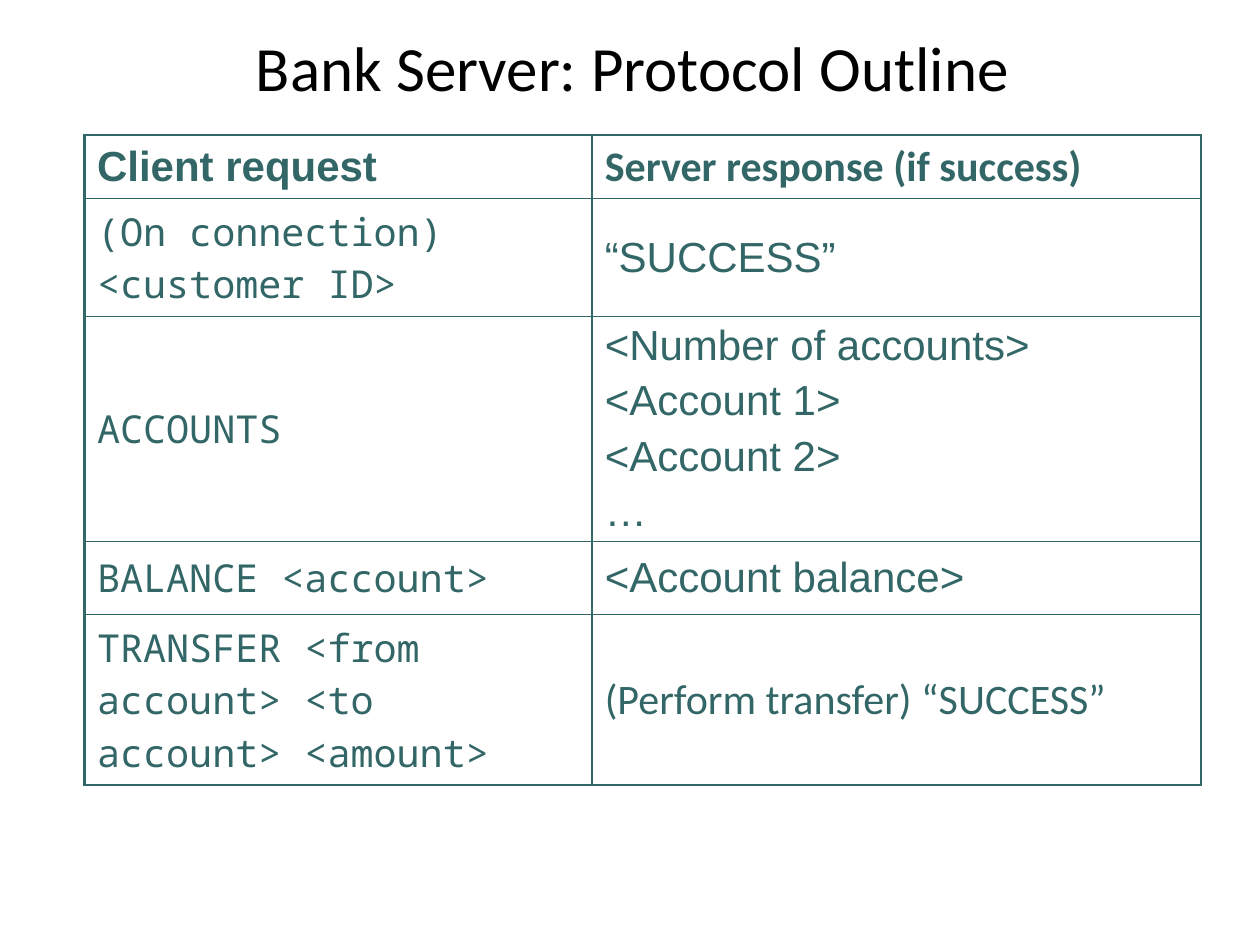
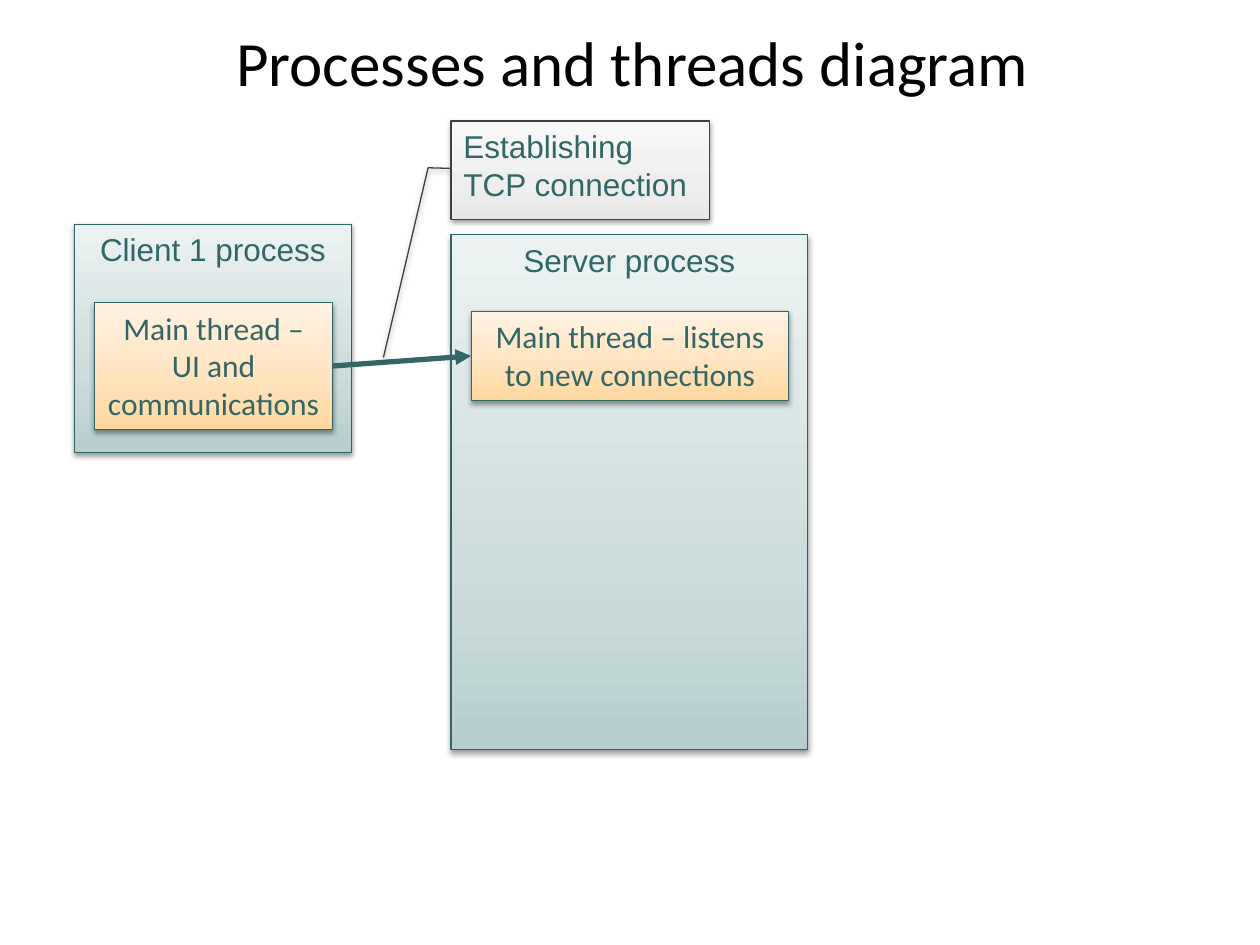
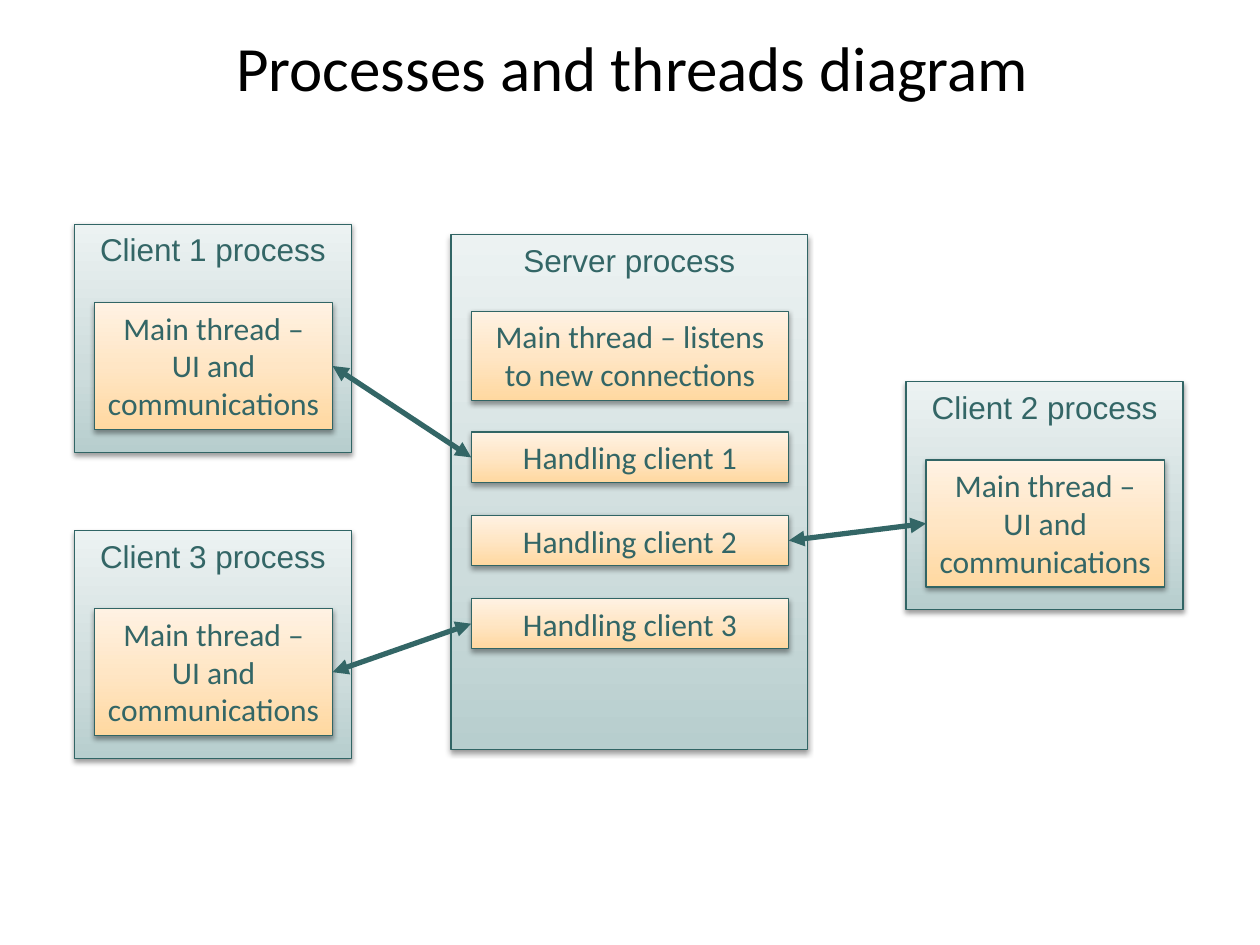
from pptx import Presentation
from pptx.dml.color import RGBColor
from pptx.enum.shapes import MSO_CONNECTOR, MSO_SHAPE
from pptx.enum.text import MSO_ANCHOR, MSO_AUTO_SIZE, PP_ALIGN
from pptx.oxml.ns import qn
from pptx.util import Inches, Pt
from lxml.etree import SubElement

BLACK = RGBColor(0x00, 0x00, 0x00)
TEAL = RGBColor(0x33, 0x66, 0x66)
EDGE = RGBColor(0x31, 0x65, 0x65)
GREY = RGBColor(0x40, 0x40, 0x40)

# Gradient stops from bottom to top: position in percent, colour
COOL = [(0, "B7CECE"), (35, "CDDCDC"), (100, "ECF2F2")]
WARM = [(0, "FFD8A0"), (50, "FFE6C5"), (100, "FFF2E3")]
PALE = [(0, "E7E7E7"), (35, "EEEEEE"), (100, "F8F8F8")]

SANS, BODY, MONO = "Arial", "Calibri", "Noto Sans Mono"
LEFT, RIGHT = 1, 3  # connection sites of a rectangle


def add(home, tag, **vals):
    """Add an XML child with the given attributes."""
    return SubElement(home, qn(tag), {k: str(v) for k, v in vals.items()})


class Deck:
    def __init__(self):
        self.prs = Presentation()
        self.prs.slide_width, self.prs.slide_height = Inches(10), Inches(7.5)

    def page(self, title, top=0.01):
        self.slide = self.prs.slides.add_slide(self.prs.slide_layouts[5])
        self.shapes = self.slide.shapes
        head = self.shapes.title
        self.place(head, 0.51, top, 9.02, 1.04)
        head.text_frame.vertical_anchor = MSO_ANCHOR.MIDDLE
        self.label(head.text_frame, title, BODY, 36, BLACK, PP_ALIGN.CENTER)

    def place(self, item, *box):
        for name, val in zip(("left", "top", "width", "height"), box):
            setattr(item, name, Inches(val))

    def label(self, frame, text, face, size, color=TEAL, align=PP_ALIGN.LEFT,
              bold=False):
        look = {"name": face, "size": Pt(size), "bold": bold}
        frame.text = text
        for para in frame.paragraphs:
            para.alignment = align
            for run in para.runs:
                for name, val in look.items():
                    setattr(run.font, name, val)
                run.font.color.rgb = color

    def box(self, text, spot, tint, face=SANS, kind=MSO_SHAPE.RECTANGLE,
            edge=EDGE, align=PP_ALIGN.CENTER, wrap=False, home=None):
        shape = (home or self.shapes).add_shape(kind, *map(Inches, spot))
        shape.line.color.rgb, shape.line.width = edge, Pt(0.75)
        # Gradient with three stops
        shape.fill.gradient()
        shape.fill.gradient_angle = 90
        props = shape._element.spPr
        stops = props.find(qn("a:gradFill")).find(qn("a:gsLst"))
        stops.clear()
        for pos, tone in tint:
            stop = add(stops, "a:gs", pos=pos * 1000)
            add(stop, "a:srgbClr", val=tone)
        # Soft shadow below
        shape.shadow.inherit = False
        glow = add(props.find(qn("a:effectLst")), "a:outerShdw", blurRad=Pt(3.1),
                   dist=Pt(1.6), dir=5400000, rotWithShape=0)
        shade = add(glow, "a:srgbClr", val="000000")
        add(shade, "a:alpha", val=38000)
        frame = shape.text_frame
        self.label(frame, text, face, 18, align=align)
        frame.vertical_anchor = MSO_ANCHOR.TOP
        frame.word_wrap = wrap
        if wrap:
            frame.auto_size = MSO_AUTO_SIZE.SHAPE_TO_FIT_TEXT
        return shape

    def thread(self, text, spot, home=None):
        return self.box(text, spot, WARM, BODY, wrap=True, home=home)

    def client(self, num, left, top):
        home = self.shapes.add_group_shape().shapes
        self.box(f"Client {num} process", (left, top, 2.2, 1.81), COOL, home=home)
        return self.thread("Main thread – UI and communications",
                           (left + 0.16, top + 0.62, 1.89, 1.01), home)

    def server(self):
        self.box("Server process", (3.58, 1.86, 2.83, 4.09), COOL)
        return self.thread("Main thread – listens to new connections",
                           (3.74, 2.47, 2.52, 0.71))

    def arrow(self, start, end, sites=(RIGHT, LEFT), both=True):
        line = self.shapes.add_connector(MSO_CONNECTOR.STRAIGHT, 0, 0, 0, 0)
        line.begin_connect(start, sites[0])
        line.end_connect(end, sites[1])
        line.line.color.rgb, line.line.width = TEAL, Pt(3)
        props = line._element.spPr
        pen = props.find(qn("a:ln"))
        if both:
            add(pen, "a:headEnd", type="triangle")
        add(pen, "a:tailEnd", type="triangle")
        add(props, "a:effectLst")

    def table(self, spot, cols, tall, rows):
        frame = self.shapes.add_table(len(rows), len(cols), *map(Inches, spot))
        grid = frame.table
        grid.first_row = grid.horz_banding = False
        for col, wide in zip(grid.columns, cols):
            col.width = Inches(wide)
        for r, (high, row) in enumerate(zip(tall, rows)):
            grid.rows[r].height = Inches(high)
            for c, (text, face, size) in enumerate(row):
                self.cell(grid.cell(r, c), text, face, size, r == 0, c == 0)
        frame.height = Inches(spot[3])

    def cell(self, cell, text, face, size, bold, first):
        cell.vertical_anchor = MSO_ANCHOR.MIDDLE
        self.label(cell.text_frame, text, face, size, bold=bold)
        for para in cell.text_frame.paragraphs:
            gap = add(para._p.get_or_add_pPr(), "a:spcBef")
            add(gap, "a:spcPct", val=20000)
        # Borders come before the fill
        props = cell._tc.get_or_add_tcPr()
        for side in "LRTB":
            wide = 2.25 if first and side == "L" else 1
            pen = add(props, f"a:ln{side}", w=Pt(wide))
            add(add(pen, "a:solidFill"), "a:srgbClr", val=TEAL)
        cell.fill.background()


deck = Deck()

# Protocol table
deck.page("Bank Server: Protocol Outline")
deck.table((0.67, 1.07, 8.86, 5.06), (4.03, 4.83), (0.47, 0.47, 0.62, 0.58, 0.58), [
    [("Client request", SANS, 24), ("Server response (if success)", BODY, 24)],
    [("(On connection) <customer ID>", MONO, 22), ("“SUCCESS”", SANS, 24)],
    [("ACCOUNTS", MONO, 22),
     ("<Number of accounts>\n<Account 1>\n<Account 2>\n…", SANS, 24)],
    [("BALANCE <account>", MONO, 22), ("<Account balance>", SANS, 24)],
    [("TRANSFER <from account> <to account> <amount>", MONO, 22),
     ("(Perform transfer) “SUCCESS”", BODY, 24)],
])

# One client connects
deck.page("Processes and threads diagram", -0.03)
main = deck.server()
deck.arrow(deck.client(1, 0.59, 1.78), main, both=False)
note = deck.box("Establishing \nTCP connection", (3.58, 0.96, 2.05, 0.78), PALE,
                kind=MSO_SHAPE.LINE_CALLOUT_2, edge=GREY, align=PP_ALIGN.LEFT)
for i, val in enumerate((0.483, -0.003, 0.477, -0.089, 2.408, -0.262)):
    note.adjustments[i] = val

# Three clients, each with its own thread
deck.page("Processes and threads diagram")
deck.server()
hands = [deck.thread(f"Handling client {i + 1}", (3.74, 3.43 + 0.66 * i, 2.52, 0.4))
         for i in range(3)]
spots = [(0.59, 1.78), (7.19, 3.03), (0.59, 4.21)]
users = [deck.client(i, *spot) for i, spot in enumerate(spots, 1)]
for user, hand in zip(users, hands):
    sites = (RIGHT, LEFT) if user.left < hand.left else (LEFT, RIGHT)
    deck.arrow(user, hand, sites)

deck.prs.save("out.pptx")
